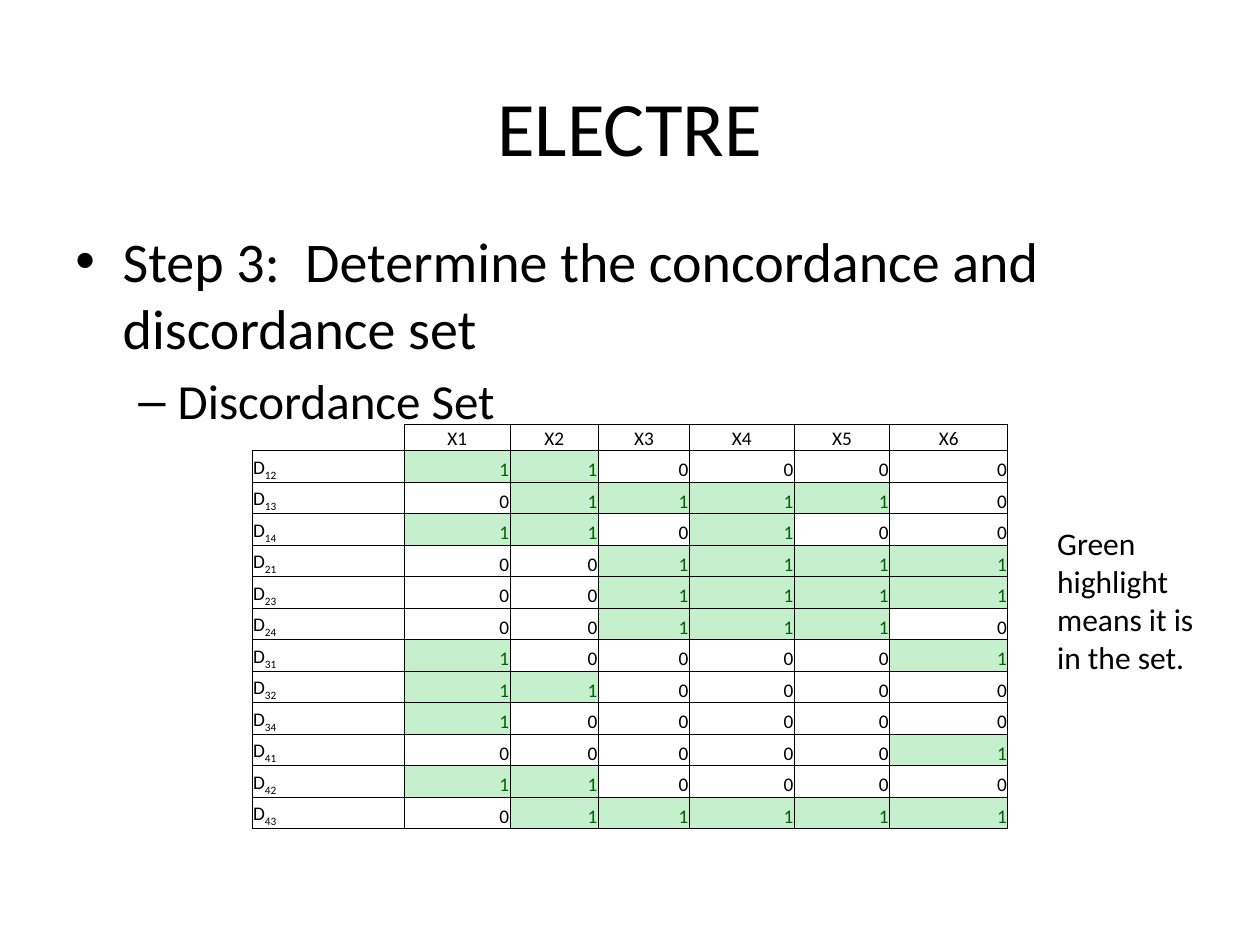
from lxml.etree import SubElement
from pptx import Presentation
from pptx.dml.color import RGBColor
from pptx.enum.text import MSO_ANCHOR, PP_ALIGN
from pptx.oxml.ns import qn
from pptx.util import Pt

COLORS = {"text": "000000", "border": "000000", "in_set": "C6EFCE", "in_set_text": "006100"}
CRITERIA = ["X1", "X2", "X3", "X4", "X5", "X6"]
DISCORDANCE = {
    "12": "110000",
    "13": "011110",
    "14": "110100",
    "21": "001111",
    "23": "001111",
    "24": "001110",
    "31": "100001",
    "32": "110000",
    "34": "100000",
    "41": "000001",
    "42": "110000",
    "43": "011111",
}
COLUMN_WIDTHS = [87, 60.5, 50.5, 52, 60, 54.5, 67.5]
HEADER_HEIGHT, ROW_HEIGHT = 15, 18


def add_run(paragraph, text, size, color="text"):
    run = paragraph.add_run()
    run.text = text
    run.font.size = Pt(size)
    run.font.name = "Calibri"
    run.font.color.rgb = RGBColor.from_string(COLORS[color])
    return run


def format_cell(cell, fill=None, open_sides=()):
    """Set margins, thin borders (none on open_sides) and fill."""
    cell.vertical_anchor = MSO_ANCHOR.BOTTOM
    cell.margin_left = cell.margin_right = cell.margin_top = Pt(0.6)
    cell.margin_bottom = 0
    properties = cell._tc.get_or_add_tcPr()
    for side in "LRTB":
        line = SubElement(properties, qn(f"a:ln{side}"), w=str(Pt(0.5)))
        if side in open_sides:
            SubElement(line, qn("a:noFill"))
        else:
            solid = SubElement(line, qn("a:solidFill"))
            SubElement(solid, qn("a:srgbClr"), val=COLORS["border"])
    if fill:
        cell.fill.solid()
        cell.fill.fore_color.rgb = RGBColor.from_string(COLORS[fill])
    else:
        cell.fill.background()


prs = Presentation()
prs.slide_width, prs.slide_height = Pt(720), Pt(540)
slide = prs.slides.add_slide(prs.slide_layouts[5])

# Title
title = slide.shapes.title
title.left, title.top, title.width, title.height = Pt(36), Pt(27), Pt(648), Pt(90)
title.text_frame.vertical_anchor = MSO_ANCHOR.MIDDLE
heading = title.text_frame.paragraphs[0]
heading.alignment = PP_ALIGN.CENTER
add_run(heading, "ELECTRE", 44)

# Step and its sub-point
steps = slide.shapes.add_textbox(Pt(36), Pt(126), Pt(648), Pt(356)).text_frame
steps.word_wrap = True
for level, (text, size, bullet, indent, hanging) in enumerate([
    ("Step 3:  Determine the concordance and discordance set", 32, "•", 27, 27),
    ("Discordance Set", 28, "–", 58.5, 22.5),
]):
    point = steps.add_paragraph() if level else steps.paragraphs[0]
    point.level = level
    point.space_before = Pt(0.2 * size)
    properties = point._p.get_or_add_pPr()
    properties.set("marL", str(Pt(indent)))
    properties.set("indent", str(-Pt(hanging)))
    SubElement(properties, qn("a:buFont"), typeface="Arial")
    SubElement(properties, qn("a:buChar"), char=bullet)
    add_run(point, text, size)

# Discordance table
table = slide.shapes.add_table(
    len(DISCORDANCE) + 1, len(COLUMN_WIDTHS), Pt(144), Pt(242.5),
    Pt(sum(COLUMN_WIDTHS)), Pt(HEADER_HEIGHT + ROW_HEIGHT * len(DISCORDANCE)),
).table
table.first_row = table.horz_banding = False
for column, width in zip(table.columns, COLUMN_WIDTHS):
    column.width = Pt(width)
for index, row in enumerate(table.rows):
    row.height = Pt(ROW_HEIGHT if index else HEADER_HEIGHT)

corner = table.cell(0, 0)
format_cell(corner, open_sides="LT")
SubElement(corner.text_frame.paragraphs[0]._p, qn("a:endParaRPr"), sz="1100")

for column, criterion in enumerate(CRITERIA, 1):
    cell = table.cell(0, column)
    format_cell(cell)
    label = cell.text_frame.paragraphs[0]
    label.alignment = PP_ALIGN.CENTER
    add_run(label, criterion, 11)

for row, (pair, members) in enumerate(DISCORDANCE.items(), 1):
    cell = table.cell(row, 0)
    format_cell(cell)
    label = cell.text_frame.paragraphs[0]
    add_run(label, "D", 11)
    subscript = add_run(label, pair, 11)
    subscript.font._element.set("baseline", "-25000")
    for column, member in enumerate(members, 1):
        in_set = member == "1"
        cell = table.cell(row, column)
        format_cell(cell, "in_set" if in_set else None)
        value = cell.text_frame.paragraphs[0]
        value.alignment = PP_ALIGN.RIGHT
        add_run(value, member, 11, "in_set_text" if in_set else "text")

# Legend
legend = slide.shapes.add_textbox(Pt(597), Pt(296), Pt(99), Pt(94.5)).text_frame
legend.word_wrap = True
add_run(legend.paragraphs[0], "Green highlight means it is in the set.", 18)

prs.save("out.pptx")
